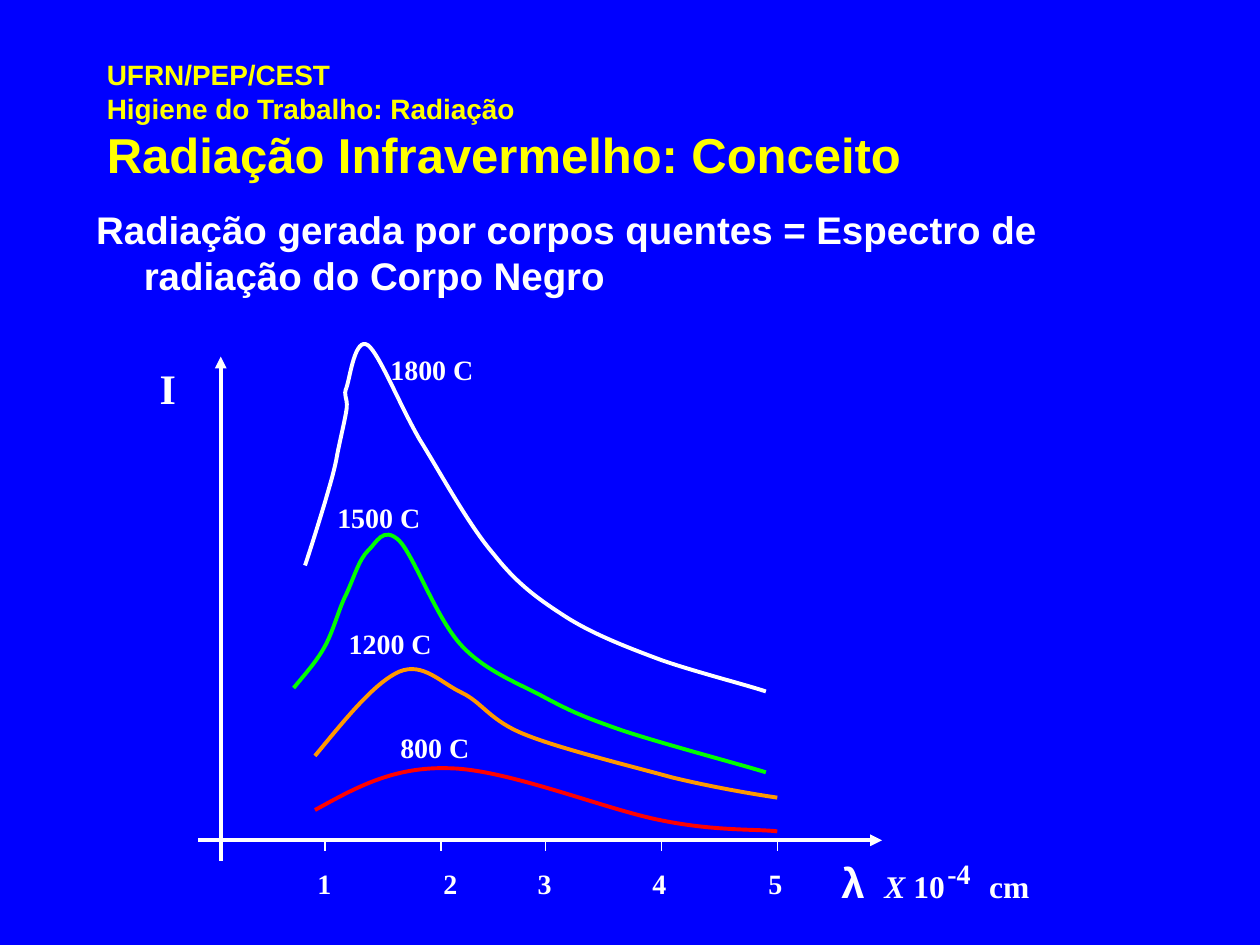
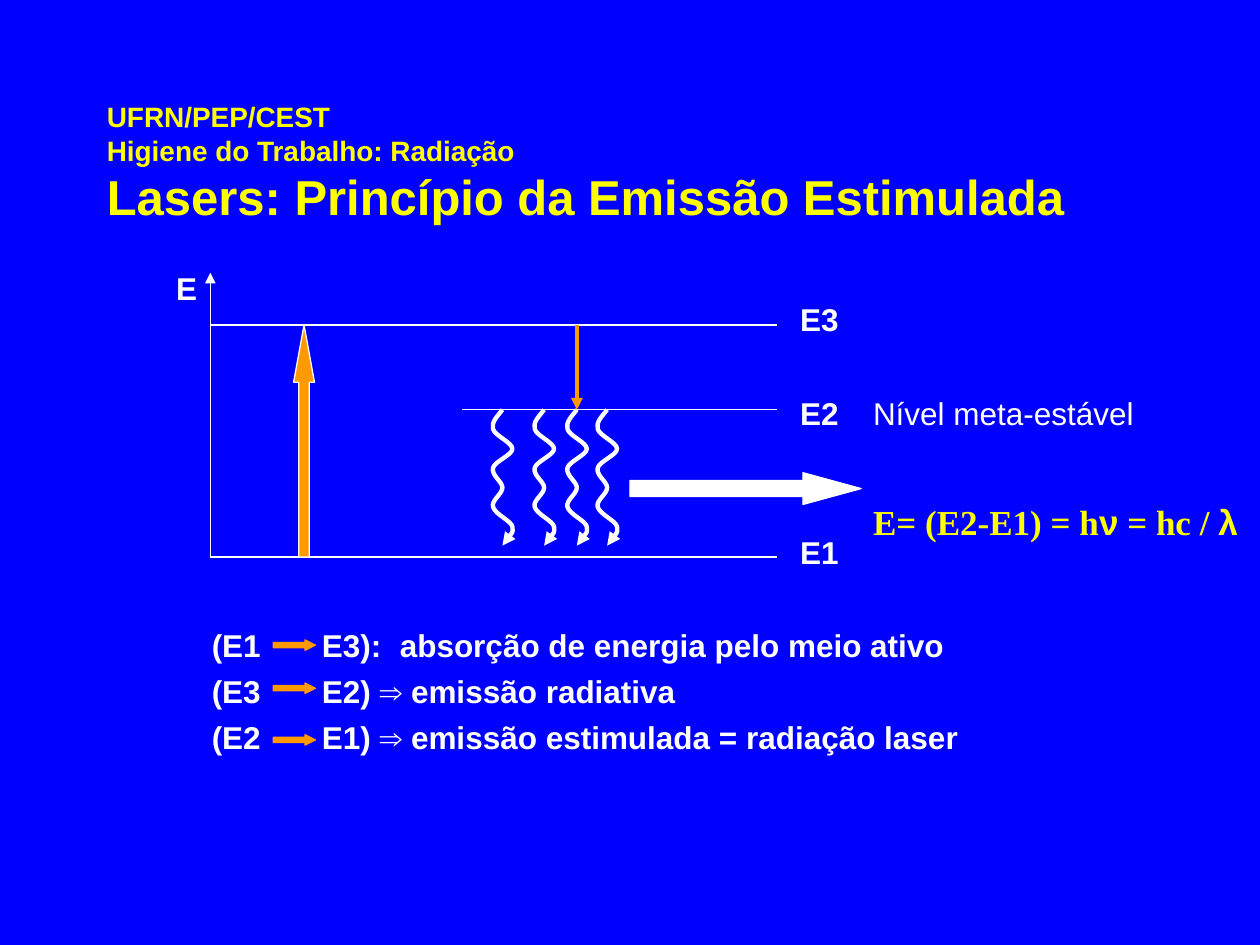
from copy import deepcopy
from dataclasses import dataclass

from lxml.etree import SubElement
from pptx import Presentation
from pptx.dml.color import RGBColor
from pptx.enum.shapes import MSO_CONNECTOR, MSO_SHAPE
from pptx.enum.text import MSO_ANCHOR, MSO_AUTO_SIZE, PP_ALIGN
from pptx.oxml.ns import qn
from pptx.util import Cm, Pt


@dataclass(frozen=True)
class Theme:
    background: str = "0000FF"
    heading: str = "FFFF00"
    ink: str = "FFFFFF"
    accent: str = "FF9900"
    green: str = "00FF00"
    red: str = "FF0000"
    sans: str = "Arial"
    serif: str = "Times New Roman"
    title: int = 28
    statement: int = 22
    symbol: int = 24
    formula: int = 20
    label: int = 18
    small: int = 16
    thin: float = 0.75
    thick: float = 2.25
    wave: float = 2.5


THEME = Theme()


@dataclass(frozen=True)
class Box:
    """A region in centimetres; parts are placed from its top left corner."""
    left: float
    top: float
    width: float
    height: float

    def point(self, x, y):
        return Cm(self.left + x), Cm(self.top + y)

    def area(self, x, y, width, height):
        return *self.point(x, y), Cm(width), Cm(height)


TITLE_LEFT, TITLE_WIDTH, TITLE_HEIGHT = 1.9, 21.59, 3.18
COURSE = "UFRN/PEP/CEST\nHigiene do Trabalho: Radiação\n"

# Curves are a start point followed by Bézier triples, in cm from the plot corner
CURVE_800 = [
    (2.35, 9.63), (3.14, 9.2), (3.92, 8.74), (5.09, 8.79), (6.26, 8.82),
    (8.24, 9.63), (9.34, 9.84), (10.43, 10.06), (11.27, 10.01), (11.67, 10.06)]
CURVE_1200 = [
    (2.35, 8.54), (2.96, 7.8), (3.54, 7.07), (4.05, 6.84), (4.53, 6.64),
    (4.89, 7.07), (5.32, 7.27), (5.73, 7.47), (5.88, 7.83), (6.59, 8.11),
    (7.28, 8.39), (8.7, 8.74), (9.54, 8.97), (10.4, 9.18), (11.32, 9.33),
    (11.67, 9.38)]
CURVE_1500 = [
    (1.92, 7.17), (2.15, 6.89), (2.38, 6.64), (2.55, 6.33), (2.73, 6.0),
    (2.83, 5.57), (2.99, 5.26), (3.14, 4.93), (3.24, 4.58), (3.42, 4.4),
    (3.59, 4.25), (3.72, 3.89), (4.05, 4.2), (4.36, 4.53), (4.81, 5.8),
    (5.32, 6.33), (5.8, 6.84), (6.49, 7.09), (7.0, 7.37), (7.53, 7.65),
    (7.76, 7.75), (8.5, 8.01), (9.23, 8.26), (10.96, 8.72), (11.44, 8.87)]
CURVE_1800 = [
    (2.15, 4.7), (2.3, 4.25), (2.45, 3.76), (2.55, 3.43), (2.65, 3.08),
    (2.71, 2.9), (2.78, 2.57), (2.83, 2.27), (2.96, 1.76), (2.99, 1.53),
    (3.01, 1.28), (2.91, 1.3), (2.99, 1.1), (3.06, 0.89), (3.16, 0.08),
    (3.42, 0.26), (3.65, 0.44), (4.05, 1.45), (4.46, 2.16), (4.89, 2.85),
    (5.45, 3.89), (5.96, 4.48), (6.44, 5.09), (6.87, 5.39), (7.43, 5.75),
    (7.99, 6.1), (8.67, 6.36), (9.34, 6.61), (10.0, 6.84), (11.09, 7.12),
    (11.44, 7.24)]
PHOTON_WAVE = [
    (0, 0), (-0.1, 0.13), (-0.23, 0.25), (-0.19, 0.39), (-0.15, 0.53),
    (0.2, 0.66), (0.2, 0.79), (0.2, 0.91), (-0.15, 1.04), (-0.19, 1.17),
    (-0.23, 1.32), (0, 1.45), (0, 1.57), (0, 1.7), (-0.23, 1.83),
    (-0.19, 1.96), (-0.15, 2.11), (0.18, 2.24), (0.2, 2.36), (0.22, 2.49),
    (0.05, 2.69), (0, 2.74)]


def rgb(color):
    return RGBColor.from_string(color)


def add_text(paragraph, text, size=THEME.label, font=THEME.sans,
             color=THEME.ink, bold=True, italic=False):
    """Append text in one format; each newline becomes a line break."""
    for index, line in enumerate(text.split("\n")):
        if index:
            paragraph.add_line_break()
            paragraph._p[-1].append(deepcopy(run._r.rPr))
        if line or not index:
            run = paragraph.add_run()
            run.text = line
            run.font.size, run.font.name = Pt(size), font
            run.font.bold, run.font.italic = bold, italic
            run.font.color.rgb = rgb(color)


def add_frame(slide, area):
    frame = slide.shapes.add_textbox(*area).text_frame
    frame.word_wrap = True
    return frame


def add_label(slide, area, text, **style):
    paragraph = add_frame(slide, area).paragraphs[0]
    add_text(paragraph, text, **style)
    return paragraph


def style_line(shape, color, weight, arrow):
    shape.line.color.rgb = rgb(color)
    shape.line.width = Pt(weight)
    if arrow:
        SubElement(shape.line._get_or_add_ln(), qn("a:tailEnd"), type="triangle")


def add_line(slide, box, start, end, color=THEME.ink, weight=THEME.thin, arrow=False):
    line = slide.shapes.add_connector(
        MSO_CONNECTOR.STRAIGHT, *box.point(*start), *box.point(*end))
    style_line(line, color, weight, arrow)
    SubElement(line._element.spPr, qn("a:effectLst"))


def add_curve(slide, box, points, color=THEME.ink, weight=THEME.thick, arrow=False):
    start, *rest = [box.point(x, y) for x, y in points]
    builder = slide.shapes.build_freeform(*start)
    builder.add_line_segments(rest, close=False)
    curve = builder.convert_to_shape()
    curve.shadow.inherit = False
    curve.fill.background()
    style_line(curve, color, weight, arrow)
    # Turn each three straight segments into one Bézier segment
    outline = next(curve._element.iter(qn("a:path")))
    segments = outline.findall(qn("a:lnTo"))
    for index in range(0, len(segments), 3):
        bezier = SubElement(outline, qn("a:cubicBezTo"))
        for segment in segments[index:index + 3]:
            bezier.append(segment[0])
            outline.remove(segment)


def add_block_arrow(slide, kind, area, head, fill, outline):
    arrow = slide.shapes.add_shape(kind, *area)
    arrow.adjustments[0], arrow.adjustments[1] = 0.5, head
    arrow.shadow.inherit = False
    arrow.fill.solid()
    arrow.fill.fore_color.rgb = rgb(fill)
    style_line(arrow, outline, THEME.thin, False)


def add_titled_slide(prs, heading, top):
    slide = prs.slides.add_slide(prs.slide_layouts[5])
    title = slide.shapes.title
    title.left, title.top = Cm(TITLE_LEFT), Cm(top)
    title.width, title.height = Cm(TITLE_WIDTH), Cm(TITLE_HEIGHT)
    frame = title.text_frame
    frame.auto_size = MSO_AUTO_SIZE.NONE
    frame.vertical_anchor = MSO_ANCHOR.MIDDLE
    paragraph = frame.paragraphs[0]
    paragraph.alignment = PP_ALIGN.LEFT
    add_text(paragraph, COURSE, size=THEME.small, color=THEME.heading)
    add_text(paragraph, heading, size=THEME.title, color=THEME.heading)
    return slide


def add_statement(slide, box):
    paragraph = add_label(
        slide, box.area(0, 0, box.width, box.height),
        "Radiação gerada por corpos quentes = Espectro de radiação do Corpo Negro",
        size=THEME.statement)
    hanging = Cm(0.96)
    properties = paragraph._p.get_or_add_pPr()
    properties.set("marL", str(hanging))
    properties.set("indent", str(-hanging))


def add_spectrum(slide, box):
    axis_x, axis_y = 0.45, 10.24
    serif = {"font": THEME.serif}
    small = {"font": THEME.serif, "size": THEME.small}

    # Axes
    add_line(slide, box, (axis_x, box.height), (axis_x, 0.49),
             weight=THEME.thick, arrow=True)
    add_line(slide, box, (0, axis_y), (box.width, axis_y),
             weight=THEME.thick, arrow=True)

    # Emission curves and their temperatures
    for points, color, text, x, y in [
            (CURVE_800, THEME.red, "800 C", 3.82, 7.91),
            (CURVE_1200, THEME.accent, "1200 C", 2.78, 5.8),
            (CURVE_1500, THEME.green, "1500 C", 2.55, 3.26),
            (CURVE_1800, THEME.ink, "1800 C", 3.62, 0.29)]:
        add_curve(slide, box, points, color)
        add_label(slide, box.area(x, y, 2.54, 0.94), text, **small)

    # Wavelength ticks
    ticks = [(2.55, 2.15), (4.89, 4.69), (7.0, 6.59), (9.34, 8.9), (11.67, 11.24)]
    for number, (tick, label) in enumerate(ticks, start=1):
        add_line(slide, box, (tick, axis_y), (tick, axis_y + 0.21))
        add_label(slide, box.area(label, box.height, 0.84, 0.94), str(number), **small)

    # Axis names and unit
    add_label(slide, box.area(-1.03, 0.49, 1.07, 1.27), "I",
              size=THEME.symbol, **serif)
    add_label(slide, box.area(12.71, 10.45, 1.07, 1.27), "λ", size=THEME.symbol)
    factor = add_label(slide, box.area(13.58, box.height, 1.9, 1.02), "X",
                       italic=True, **serif)
    add_text(factor, " 10", **serif)
    add_label(slide, box.area(14.85, 10.45, 1.47, 0.94), "-4", **small)
    add_label(slide, box.area(15.69, box.height, 1.9, 1.02), "cm", **serif)


def add_energy_diagram(slide, box):
    ground, metastable, excited = box.height, 2.76, 1.05
    notes_x = 13.11

    # Energy axis and levels
    add_line(slide, box, (0, ground), (0, 0), arrow=True)
    add_label(slide, box.area(-0.94, -0.2, 0.95, 1.02), "E")
    for name, level, start, label_y in [("E1", ground, 0, 5.12),
                                        ("E2", metastable, 5.08, 2.32),
                                        ("E3", excited, 0, 0.42)]:
        add_line(slide, box, (start, level), (box.width, level))
        add_label(slide, box.area(11.64, label_y, 1.45, 1.02), name)

    # Absorption, decay and laser output
    add_block_arrow(slide, MSO_SHAPE.UP_ARROW,
                    box.area(1.68, excited, 0.42, ground - excited),
                    2.75, THEME.accent, THEME.ink)
    add_line(slide, box, (7.39, excited), (7.39, metastable),
             THEME.accent, THEME.thick, arrow=True)
    add_block_arrow(slide, MSO_SHAPE.RIGHT_ARROW, box.area(8.46, 4.03, 4.66, 0.64),
                    1.83, THEME.ink, THEME.ink)
    for center in (5.89, 6.73, 7.39, 8.0):
        wave = [(center + x, metastable + y) for x, y in PHOTON_WAVE]
        add_curve(slide, box, wave, weight=THEME.wave, arrow=True)

    # Notes beside the levels
    add_label(slide, box.area(notes_x, 2.32, 6.35, 1.02), "Nível meta-estável",
              bold=False)
    formula = add_frame(slide, box.area(notes_x, 4.46, 8.05, 1.12)).paragraphs[0]
    for text, font in [("E= (E2-E1) = h", THEME.serif), ("ν", THEME.sans),
                       (" = hc / ", THEME.serif), ("λ", THEME.sans)]:
        add_text(formula, text, size=THEME.formula, font=font, color=THEME.heading)


def add_transitions(slide, box):
    frame = add_frame(slide, box.area(0, 0, box.width, box.height))
    transitions = [("(E1\tE3):\tabsorção de energia pelo meio ativo", 0.4),
                   ("(E3\tE2) ⇒ emissão radiativa", 1.27),
                   ("(E2\tE1) ⇒ emissão estimulada = radiação laser", 2.31)]
    for index, (text, arrow_y) in enumerate(transitions):
        paragraph = frame.add_paragraph() if index else frame.paragraphs[0]
        if index:
            paragraph.space_before = Pt(4.5)
        tabs = SubElement(paragraph._p.get_or_add_pPr(), qn("a:tabLst"))
        for stop in (2.22, 3.79):
            SubElement(tabs, qn("a:tab"), pos=str(Cm(stop)), algn="l")
        add_text(paragraph, text)
        add_block_arrow(slide, MSO_SHAPE.RIGHT_ARROW, box.area(1.49, arrow_y, 0.85, 0.21),
                        1.0, THEME.accent, THEME.accent)


def main():
    prs = Presentation()
    prs.slide_width, prs.slide_height = Cm(25.4), Cm(19.05)
    backdrop = prs.slide_master.background.fill
    backdrop.solid()
    backdrop.fore_color.rgb = rgb(THEME.background)

    infrared = add_titled_slide(prs, "Radiação Infravermelho: Conceito", 0.84)
    add_statement(infrared, Box(1.69, 4.02, 21.59, 2.4))
    add_spectrum(infrared, Box(4.0, 6.7, 13.78, 10.65))

    lasers = add_titled_slide(prs, "Lasers: Princípio da Emissão Estimulada", 1.69)
    add_energy_diagram(lasers, Box(4.24, 5.5, 11.43, 5.73))
    add_transitions(lasers, Box(4.02, 12.5, 19.48, 3.81))

    prs.save("out.pptx")


if __name__ == "__main__":
    main()
